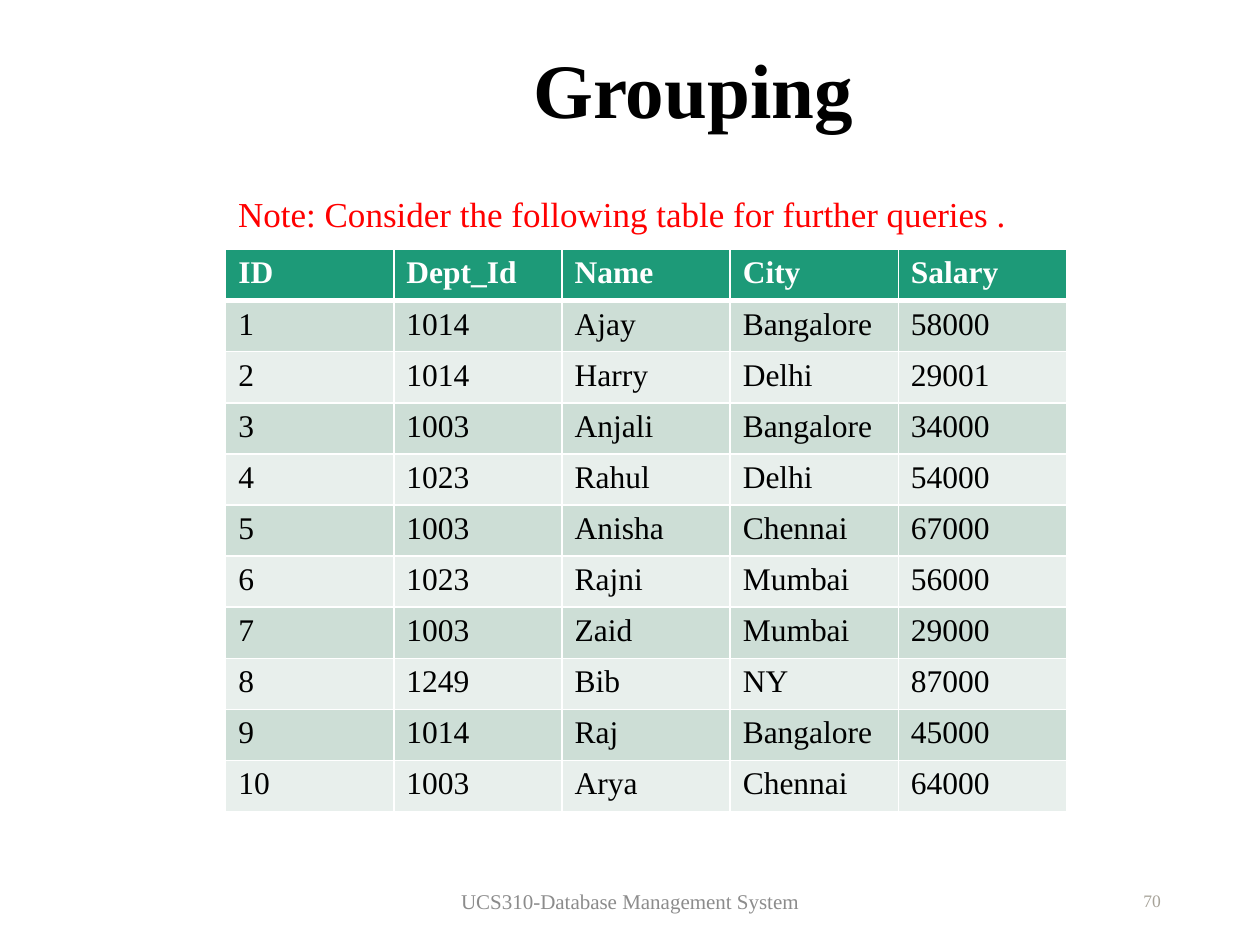
from lxml.etree import SubElement
from pptx import Presentation
from pptx.dml.color import RGBColor
from pptx.enum.text import MSO_ANCHOR as ANCHOR, MSO_AUTO_SIZE as AUTO, PP_ALIGN as ALIGN
from pptx.oxml.ns import qn
from pptx.util import Cm, Pt

HEADER = ("ID", "Dept_Id", "Name", "City", "Salary")
EMPLOYEES = [
    ("1", "1014", "Ajay", "Bangalore", "58000"),
    ("2", "1014", "Harry", "Delhi", "29001"),
    ("3", "1003", "Anjali", "Bangalore", "34000"),
    ("4", "1023", "Rahul", "Delhi", "54000"),
    ("5", "1003", "Anisha", "Chennai", "67000"),
    ("6", "1023", "Rajni", "Mumbai", "56000"),
    ("7", "1003", "Zaid", "Mumbai", "29000"),
    ("8", "1249", "Bib", "NY", "87000"),
    ("9", "1014", "Raj", "Bangalore", "45000"),
    ("10", "1003", "Arya", "Chennai", "64000"),
]


def rgb(color):
    return RGBColor.from_string(color)


def write(tf, text, size=18, color="000000", bold=False, align=ALIGN.LEFT,
          spacing=None, font="Times New Roman"):
    p = tf.paragraphs[0]
    p.alignment = align
    if spacing:
        p.line_spacing = spacing
    r = p.add_run()
    r.text = text
    r.font.name = font
    r.font.size = Pt(size)
    r.font.bold = bold
    r.font.color.rgb = rgb(color)


class SlideBuilder:
    head_fill = "1D9A78"
    band_fills = ("CDDED6", "E8EFEC")
    border_color = "FFFFFF"

    def __init__(self, prs):
        self.slide = prs.slides.add_slide(prs.slide_layouts[5])

    def title(self, text, x, y, w, h):
        sp = self.slide.shapes.title
        sp.left, sp.top, sp.width, sp.height = Cm(x), Cm(y), Cm(w), Cm(h)
        tf = sp.text_frame
        tf.auto_size = AUTO.NONE
        tf.vertical_anchor = ANCHOR.MIDDLE
        write(tf, text, size=44, bold=True, align=ALIGN.CENTER, spacing=0.9)

    def text(self, text, x, y, w, h, anchor=ANCHOR.MIDDLE, **fmt):
        sp = self.slide.shapes.add_textbox(Cm(x), Cm(y), Cm(w), Cm(h))
        tf = sp.text_frame
        tf.word_wrap = True
        tf.vertical_anchor = anchor
        write(tf, text, **fmt)

    def borders(self, cell, top, bottom):
        tc_pr = cell._tc.get_or_add_tcPr()
        for side, width in (("L", 1), ("R", 1), ("T", top), ("B", bottom)):
            ln = SubElement(tc_pr, qn(f"a:ln{side}"), w=str(Pt(width)))
            fill = SubElement(ln, qn("a:solidFill"))
            SubElement(fill, qn("a:srgbClr"), val=self.border_color)

    def table(self, rows, x, y, col_w, row_h):
        n_rows, n_cols = len(rows), len(rows[0])
        table = self.slide.shapes.add_table(
            n_rows, n_cols, Cm(x), Cm(y),
            Cm(col_w * n_cols), Cm(row_h * n_rows)).table
        for col in table.columns:
            col.width = Cm(col_w)
        for i, values in enumerate(rows):
            table.rows[i].height = Cm(row_h)
            head = i == 0
            fill = self.head_fill if head else self.band_fills[(i - 1) % 2]
            for cell, value in zip(table.rows[i].cells, values):
                self.borders(cell, top=3 if i == 1 else 1, bottom=3 if head else 1)
                cell.fill.solid()
                cell.fill.fore_color.rgb = rgb(fill)
                write(cell.text_frame, value, bold=head,
                      color="FFFFFF" if head else "000000")


def main():
    prs = Presentation()
    prs.slide_width, prs.slide_height = Cm(25.4), Cm(19.05)
    s = SlideBuilder(prs)

    # Heading and note
    s.title("Grouping", 3.18, 0.84, 21.59, 2.11)
    s.text("Note: Consider the following table for further queries .",
           4.55, 3.33, 20.85, 2.57, anchor=ANCHOR.TOP,
           size=20, color="FF0000", spacing=1.5)

    # Employee table
    s.table([HEADER, *EMPLOYEES], 4.55, 5.03, col_w=3.39, row_h=1.03)

    # Footer and slide number
    s.text("UCS310-Database Management System", 8.41, 17.65, 8.59, 1.02,
           size=12, color="8C8C8C", align=ALIGN.CENTER)
    s.text("70", 17.93, 17.65, 5.72, 1.02,
           size=10, color="A7A399", align=ALIGN.RIGHT)

    prs.save("out.pptx")


if __name__ == "__main__":
    main()
